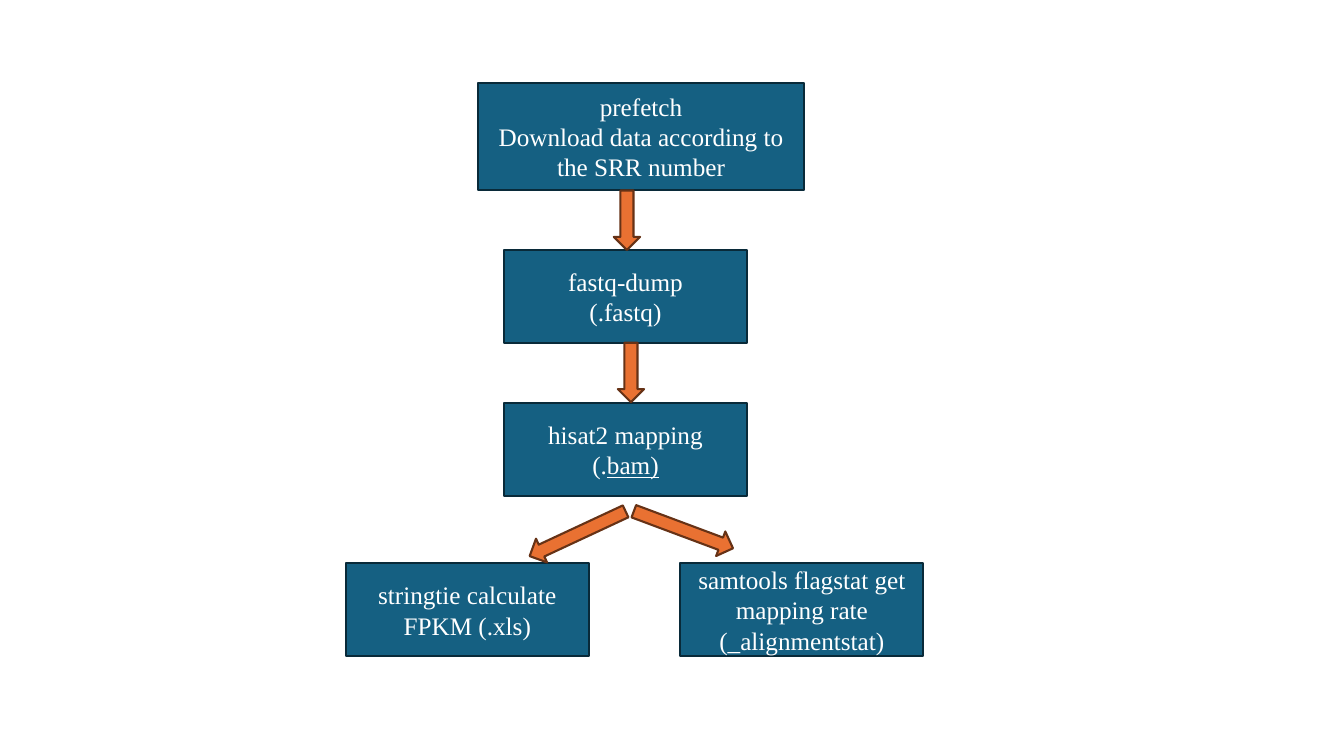
from dataclasses import dataclass

from pptx import Presentation
from pptx.dml.color import RGBColor
from pptx.enum.shapes import MSO_SHAPE
from pptx.enum.text import MSO_ANCHOR, PP_ALIGN
from pptx.shapes.autoshape import Shape
from pptx.slide import Slide
from pptx.text.text import TextFrame
from pptx.util import Inches, Pt

RECT, DOWN = MSO_SHAPE.RECTANGLE, MSO_SHAPE.DOWN_ARROW
MIDDLE, CENTER = MSO_ANCHOR.MIDDLE, PP_ALIGN.CENTER
WIDE, HIGH = Inches(13.33), Inches(7.5)


@dataclass(frozen=True)
class Theme:
    font: str = "Times New Roman"
    size: float = 18
    ink: str = "FFFFFF"
    box: str = "156082"
    edge: str = "092A39"
    arrow: str = "E97132"
    rim: str = "663216"
    line: float = 1.5


# Lengths are percentages of the slide's width (x, wide) and height (y, high).
@dataclass(frozen=True)
class Step:
    x: float
    y: float
    lines: tuple[str, ...]
    under: str = ""
    wide: float = 18.08
    high: float = 12.27


# An arrow is placed by its centre, then turned.
@dataclass(frozen=True)
class Arrow:
    x: float
    y: float
    high: float
    turn: float = 0
    wide: float = 1.95


THEME = Theme()
MAIN, LAST = 37.5, 74.53  # main column, bottom row
SHORT, LONG = 7.87, 14

STEPS = (
    Step(35.55, 10.93, ("prefetch", "Download data according to the SRR number"),
         wide=24.3, high=14.27),
    Step(MAIN, 33.07, ("fastq-dump", "(.fastq)")),
    Step(MAIN, 53.33, ("hisat2 mapping", "(."), under="bam)"),
    Step(25.73, LAST, ("stringtie calculate FPKM (.xls)",)),
    Step(50.63, LAST, ("samtools flagstat get mapping rate (_alignmentstat)",)),
)
ARROWS = (
    Arrow(46.65, 29.13, SHORT),
    Arrow(46.95, 49.27, SHORT),
    Arrow(42.98, 70.6, LONG, turn=65),
    Arrow(50.85, 70.07, LONG, turn=290.5),
)


def write(frame: TextFrame, lines: tuple[str, ...], *, under: str = "",
          font: str = THEME.font, size: float = THEME.size,
          ink: str = THEME.ink) -> None:
    """Fill a frame with centred lines; `under` ends the last one underlined."""
    frame.word_wrap = True
    frame.vertical_anchor = MIDDLE
    for i, line in enumerate(lines):
        para = frame.paragraphs[0] if i == 0 else frame.add_paragraph()
        para.alignment = CENTER
        para.add_run().text = line
        if under and i == len(lines) - 1:
            tail = para.add_run()
            tail.text = under
            tail.font.underline = True
        for run in para.runs:
            run.font.name = font
            run.font.size = Pt(size)
            run.font.color.rgb = RGBColor.from_string(ink)


def draw(slide: Slide, kind: MSO_SHAPE, x: float, y: float, wide: float,
         high: float, fill: str, line: str) -> Shape:
    """Add a filled, outlined shape without a shadow."""
    shape = slide.shapes.add_shape(
        kind, round(WIDE * x / 100), round(HIGH * y / 100),
        round(WIDE * wide / 100), round(HIGH * high / 100))
    shape.shadow.inherit = False
    shape.fill.solid()
    shape.fill.fore_color.rgb = RGBColor.from_string(fill)
    shape.line.color.rgb = RGBColor.from_string(line)
    shape.line.width = Pt(THEME.line)
    return shape


def main() -> None:
    deck = Presentation()
    deck.slide_width, deck.slide_height = WIDE, HIGH
    slide = deck.slides.add_slide(deck.slide_layouts[6])

    # Pipeline steps
    for step in STEPS:
        box = draw(slide, RECT, step.x, step.y, step.wide, step.high,
                   THEME.box, THEME.edge)
        write(box.text_frame, step.lines, under=step.under)

    # Flow between the steps
    for arrow in ARROWS:
        shape = draw(slide, DOWN, arrow.x - arrow.wide / 2,
                     arrow.y - arrow.high / 2, arrow.wide, arrow.high,
                     THEME.arrow, THEME.rim)
        shape.rotation = arrow.turn

    deck.save("out.pptx")


if __name__ == "__main__":
    main()
